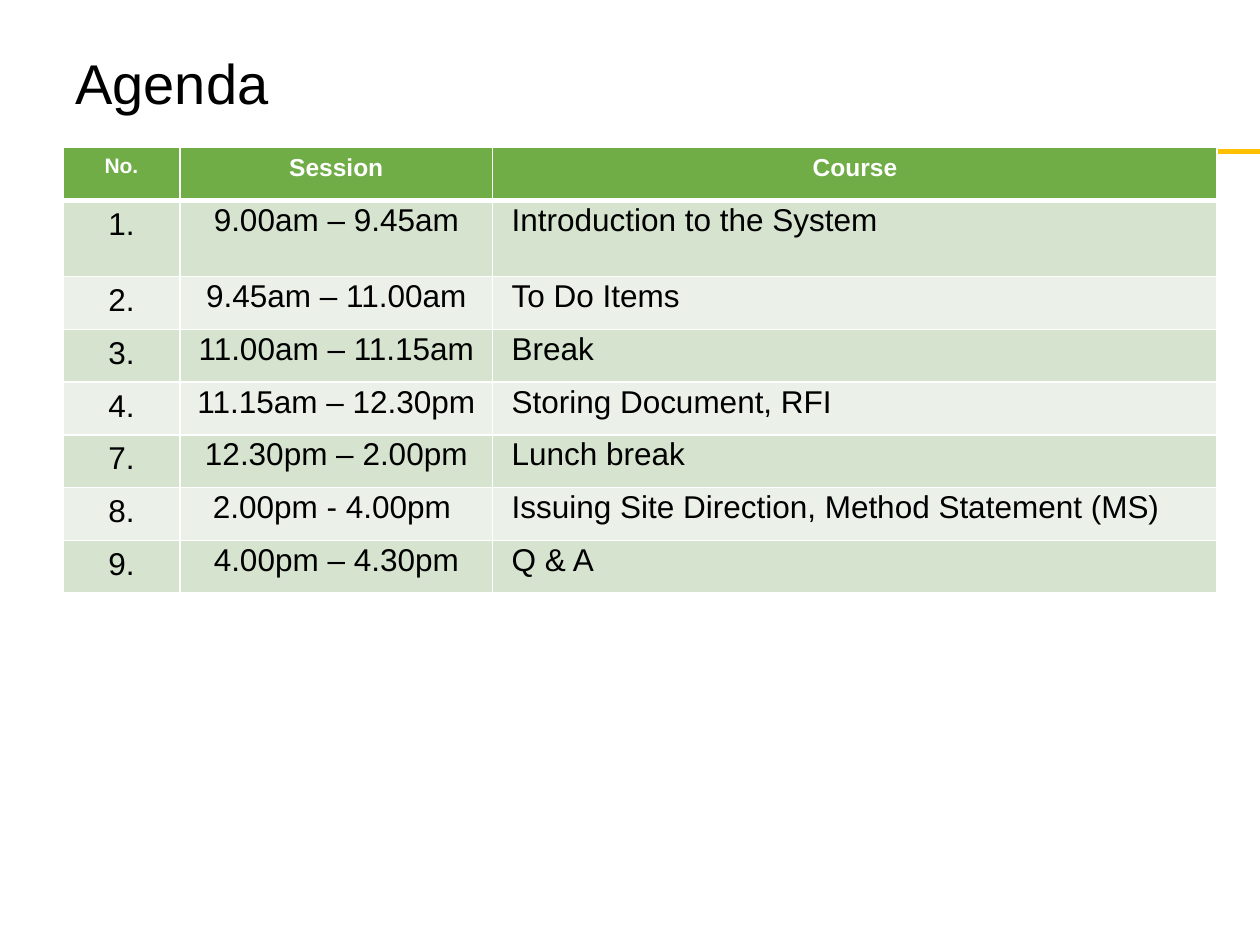
"""Build the training agenda slide with its session table."""
from lxml.etree import SubElement
from pptx import Presentation
from pptx.dml.color import RGBColor
from pptx.enum.shapes import MSO_CONNECTOR
from pptx.enum.text import MSO_ANCHOR, PP_ALIGN
from pptx.oxml.ns import qn
from pptx.util import Pt

TITLE = "Agenda"
HEADERS = [("No.", 12), ("Session", 14), ("Course", 14)]
SESSIONS = [
    ("1.", "9.00am – 9.45am", "Introduction to the System"),
    ("2.", "9.45am – 11.00am", "To Do Items"),
    ("3.", "11.00am – 11.15am", "Break"),
    ("4.", "11.15am – 12.30pm", "Storing Document, RFI"),
    ("7.", "12.30pm – 2.00pm", "Lunch break"),
    ("8.", "2.00pm - 4.00pm ", "Issuing Site Direction, Method Statement (MS)"),
    ("9.", "4.00pm – 4.30pm", "Q & A"),
]

FONT = "Arial"
BLACK = RGBColor(0x00, 0x00, 0x00)
WHITE = RGBColor(0xFF, 0xFF, 0xFF)
GOLD = RGBColor(0xFF, 0xC0, 0x00)
GREEN = RGBColor(0x70, 0xAD, 0x47)
BANDS = [RGBColor(0xD5, 0xE3, 0xCF), RGBColor(0xEB, 0xF1, 0xE9)]

LEFT = 36
TABLE_TOP = 84.4
COLUMN_WIDTHS = [66.8, 178.8, 414]
ROW_HEIGHT = 30.15
FIRST_SESSION_HEIGHT = 43.6
RULE_Y = 86.4


def add_span(para, text, size, color, bold=False):
    span = para.add_run()
    span.text = text
    span.font.name = FONT
    span.font.size = Pt(size)
    span.font.bold = bold
    span.font.color.rgb = color


def set_borders(cell, widths):
    properties = cell._tc.get_or_add_tcPr()
    for position, (side, width) in enumerate(widths.items()):
        line = SubElement(properties, qn(f"a:{side}"), w=str(Pt(width)))
        fill = SubElement(line, qn("a:solidFill"))
        SubElement(fill, qn("a:srgbClr"), val=str(WHITE))
        properties.insert(position, line)


def fill_cell(cell, text, size, color, background, bold=False, bottom=1, top=1):
    cell.fill.solid()
    cell.fill.fore_color.rgb = background
    set_borders(cell, {"lnL": 1, "lnR": 1, "lnT": top, "lnB": bottom})
    para = cell.text_frame.paragraphs[0]
    para.alignment = PP_ALIGN.CENTER
    add_span(para, text, size, color, bold)
    return para


def add_rule(page):
    rule = page.shapes.add_connector(
        MSO_CONNECTOR.STRAIGHT, Pt(LEFT), Pt(RULE_Y), Pt(720.7), Pt(RULE_Y))
    rule.line.color.rgb = GOLD
    rule.line.width = Pt(3)
    SubElement(rule._element.spPr, qn("a:effectLst"))


def add_title(page):
    box = page.shapes.add_textbox(Pt(LEFT), Pt(9.4), Pt(570), Pt(75))
    box.text_frame.word_wrap = True
    box.text_frame.vertical_anchor = MSO_ANCHOR.MIDDLE
    add_span(box.text_frame.paragraphs[0], TITLE, 32, BLACK)


def add_agenda(page):
    heights = [ROW_HEIGHT, FIRST_SESSION_HEIGHT] + [ROW_HEIGHT] * (len(SESSIONS) - 1)
    table = page.shapes.add_table(
        len(heights), len(HEADERS), Pt(LEFT), Pt(TABLE_TOP),
        Pt(sum(COLUMN_WIDTHS)), Pt(sum(heights))).table
    for column, width in zip(table.columns, COLUMN_WIDTHS):
        column.width = Pt(width)
    for row, height in zip(table.rows, heights):
        row.height = Pt(height)

    for column, (text, size) in enumerate(HEADERS):
        fill_cell(table.cell(0, column), text, size, WHITE, GREEN, True, bottom=3)
    for row, session in enumerate(SESSIONS, 1):
        band = BANDS[(row - 1) % 2]
        for column, text in enumerate(session):
            cell = table.cell(row, column)
            para = fill_cell(cell, text, 18, BLACK, band, top=3 if row == 1 else 1)
            if column > 0:
                cell.margin_left = cell.margin_right = Pt(2.2)
                cell.margin_top = cell.margin_bottom = Pt(1.4)
            if column == 2:
                para.alignment = PP_ALIGN.LEFT
                para._p.get_or_add_pPr().set("marL", str(Pt(8.6)))


def main():
    deck = Presentation()
    deck.slide_width, deck.slide_height = Pt(720), Pt(540)
    page = deck.slides.add_slide(deck.slide_layouts[6])
    add_rule(page)
    add_title(page)
    add_agenda(page)
    deck.save("out.pptx")


if __name__ == "__main__":
    main()
